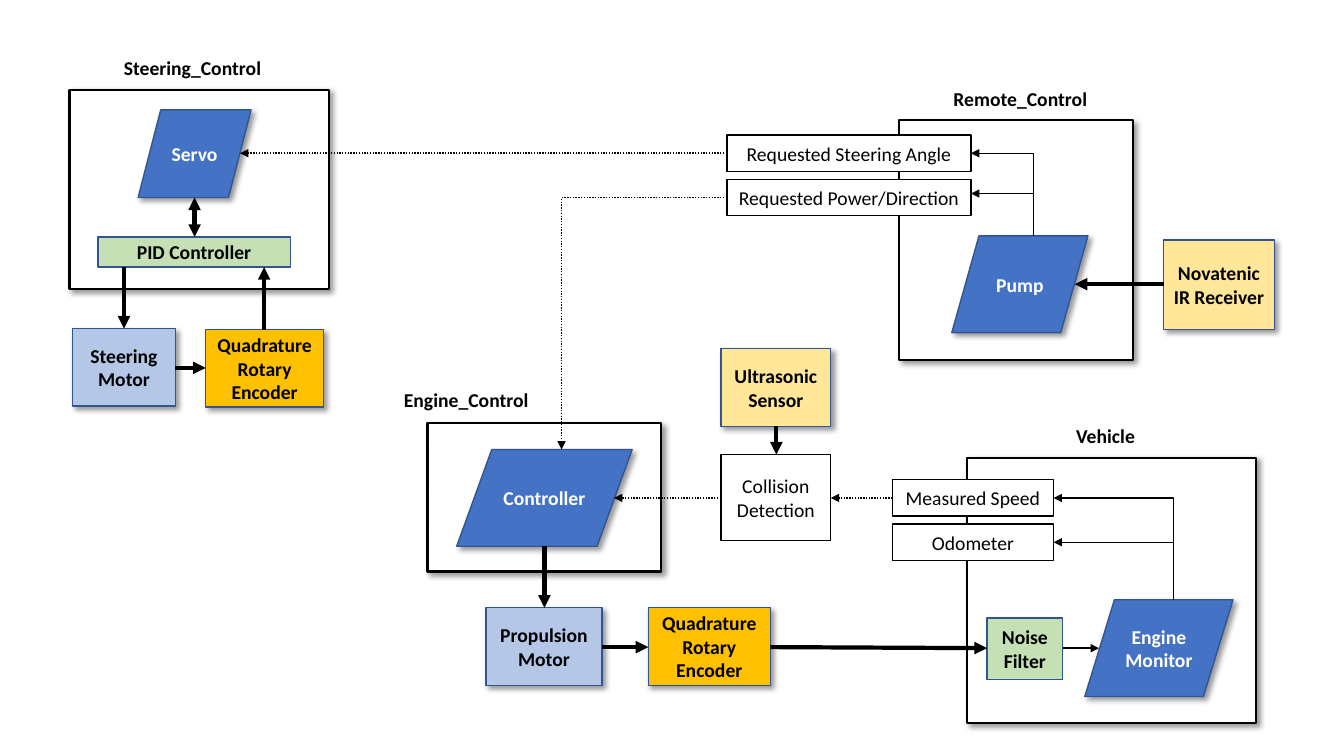
"""Block diagram of a remote-controlled vehicle, laid out on a grid of tenth-inch cells."""
from lxml import etree
from pptx import Presentation
from pptx.dml.color import RGBColor
from pptx.enum.dml import MSO_LINE
from pptx.enum.shapes import MSO_CONNECTOR, MSO_SHAPE
from pptx.enum.text import MSO_ANCHOR, PP_ALIGN
from pptx.oxml.ns import qn
from pptx.util import Inches, Pt

RECT, SLANT = MSO_SHAPE.RECTANGLE, MSO_SHAPE.FLOWCHART_DATA
LINE, DOT = MSO_CONNECTOR.STRAIGHT, MSO_LINE.ROUND_DOT
MID, CENTER = MSO_ANCHOR.MIDDLE, PP_ALIGN.CENTER
CELL = Inches(0.1)
BLACK, WHITE, NAVY = "000000", "FFFFFF", "325491"


def paint(form, color):
    form.rgb = RGBColor.from_string(color)


def write(frame, text, bold, ink, wrap):
    frame.word_wrap = wrap
    frame.text = text
    frame.vertical_anchor = MID
    for para in frame.paragraphs:
        para.alignment = CENTER
        para.font.name, para.font.size, para.font.bold = "Calibri", Pt(14), bold
        paint(para.font.color, ink)


deck = Presentation()
deck.slide_width, deck.slide_height = Inches(13.33), Inches(7.5)
slide = deck.slides.add_slide(deck.slide_layouts[6])
shapes = slide.shapes

# kind: form, fill, edge, edge width, ink, bold, shadow, wrap
kinds = {
    "frame": (RECT, WHITE, BLACK, 1.5, BLACK, False, True, True),
    "field": (RECT, WHITE, BLACK, 1, BLACK, False, False, False),
    "task": (SLANT, "4472C4", NAVY, 1, WHITE, True, True, True),
    "motor": (RECT, "B4C7E7", NAVY, 1, BLACK, True, True, True),
    "coder": (RECT, "FFC000", NAVY, 1, BLACK, True, True, True),
    "sensor": (RECT, "FFE699", NAVY, 1, BLACK, True, True, True),
    "filter": (RECT, "C5E0B4", NAVY, 1, BLACK, True, False, True),
}

# kind, text, column, row, columns wide, rows high
boxes = [
    ("frame", "", 89.2, 11.9, 23.2, 23.8),
    ("frame", "", 95.9, 45.4, 28.7, 26.3),
    ("frame", "", 42.4, 42, 23.2, 14.7),
    ("frame", "", 6.9, 8.9, 25.7, 19.8),
    ("field", "Requested Steering Angle", 72.1, 13.4, 24.2, 3.6),
    ("field", "Requested Power/Direction", 72.1, 17.8, 24.2, 3.6),
    ("field", "Measured Speed", 88.5, 47.6, 16, 3.6),
    ("field", "Odometer", 88.5, 52, 16, 3.6),
    ("field", "Collision\nDetection", 71.5, 45.1, 10.9, 8.5),
    ("task", "Pump", 94.4, 23.4, 13.5, 9.6),
    ("task", "Engine\nMonitor", 107.6, 59.5, 14.7, 9.6),
    ("task", "Controller", 45.3, 44.6, 17.4, 9.6),
    ("task", "Servo", 13.7, 10.9, 11.2, 8.7),
    ("motor", "Propulsion\nMotor", 48.2, 60.3, 11.5, 7.7),
    ("motor", "Steering\nMotor", 7.2, 32.6, 10.2, 7.7),
    ("coder", "Quadrature\nRotary\nEncoder", 64.3, 60.3, 12.1, 7.7),
    ("coder", "Quadrature\nRotary\nEncoder", 20.4, 32.7, 11.7, 7.7),
    ("sensor", "Novatenic\nIR Receiver", 115.4, 23.8, 11, 8.9),
    ("sensor", "Ultrasonic\nSensor", 71.5, 34.6, 10.9, 7.7),
    ("filter", "PID Controller", 9.7, 23.5, 19.1, 3),
    ("filter", "Noise\nFilter", 97.9, 61.3, 7.5, 6.1),
]
for kind, text, *area in boxes:
    form, fill, edge, width, ink, bold, shade, wrap = kinds[kind]
    box = shapes.add_shape(form, *(int(n * CELL) for n in area))
    box.fill.solid()
    paint(box.fill.fore_color, fill)
    paint(box.line.color, edge)
    box.line.width = Pt(width)
    box.shadow.inherit = False
    if shade:
        glow = etree.SubElement(
            box._element.spPr.find(qn("a:effectLst")), qn("a:outerShdw"),
            blurRad=str(Pt(4)), dist=str(Pt(3)), dir="2700000", algn="tl", rotWithShape="0")
        tint = etree.SubElement(glow, qn("a:srgbClr"), val=BLACK)
        etree.SubElement(tint, qn("a:alpha"), val="40000")
    if text:
        write(box.text_frame, text, bold, ink, wrap)

heads = [
    ("Steering_Control", 11.2, 5, 15.8),
    ("Remote_Control", 93.5, 8.1, 15.4),
    ("Engine_Control", 39, 37.9, 14.5),
    ("Vehicle", 105.7, 41.5, 7.9),
]
for text, *area in heads:
    label = shapes.add_textbox(*(int(n * CELL) for n in (*area, 3.4)))
    write(label.text_frame, text, True, BLACK, False)

# start column and row, end column and row, width, arrowheads, dotted
links = [
    (96.3, 15.2, 102.5, 23.4, 1, "head", False),
    (96.3, 19.2, 102.5, 23.4, 1, "head", False),
    (104.5, 49.4, 116.4, 59.5, 1, "head", False),
    (104.5, 53.8, 116.4, 59.5, 1, "head", False),
    (72.1, 19.6, 55.7, 44.6, 1, "tail", True),
    (72.1, 15.2, 23.8, 15.2, 1, "tail", True),
    (71.5, 49.4, 60.9, 49.4, 1, "tail", True),
    (88.5, 49.4, 82.4, 49.4, 1, "tail", True),
    (105.4, 64.3, 109, 64.3, 1, "tail", False),
    (115.4, 28.2, 106.6, 28.2, 3, "tail", False),
    (54, 54.2, 54, 60.3, 3, "tail", False),
    (59.7, 64.2, 64.3, 64.2, 3, "tail", False),
    (76.4, 64.2, 97.9, 64.3, 3, "tail", False),
    (77, 42.3, 77, 45.1, 3, "tail", False),
    (19.3, 19.6, 19.3, 23.5, 3, "head tail", False),
    (12.3, 26.5, 12.3, 32.6, 3, "tail", False),
    (17.4, 36.5, 20.4, 36.5, 3, "tail", False),
    (26.2, 32.7, 26.2, 26.5, 3, "tail", False),
]
for *ends, width, tips, dotted in links:
    left, top, right, base = ends
    link = shapes.add_connector(LINE, *(int(n * CELL) for n in ends))
    paint(link.line.color, BLACK)
    link.line.width = Pt(width)
    if dotted:
        link.line.dash_style = DOT
    props = link._element.spPr
    if abs(left - right) > 1 and abs(top - base) > 1:
        props.find(qn("a:prstGeom")).set("prst", "bentConnector2")
    for tip in tips.split():
        etree.SubElement(props.find(qn("a:ln")), qn(f"a:{tip}End"), type="triangle")
    etree.SubElement(props, qn("a:effectLst"))

deck.save("out.pptx")
